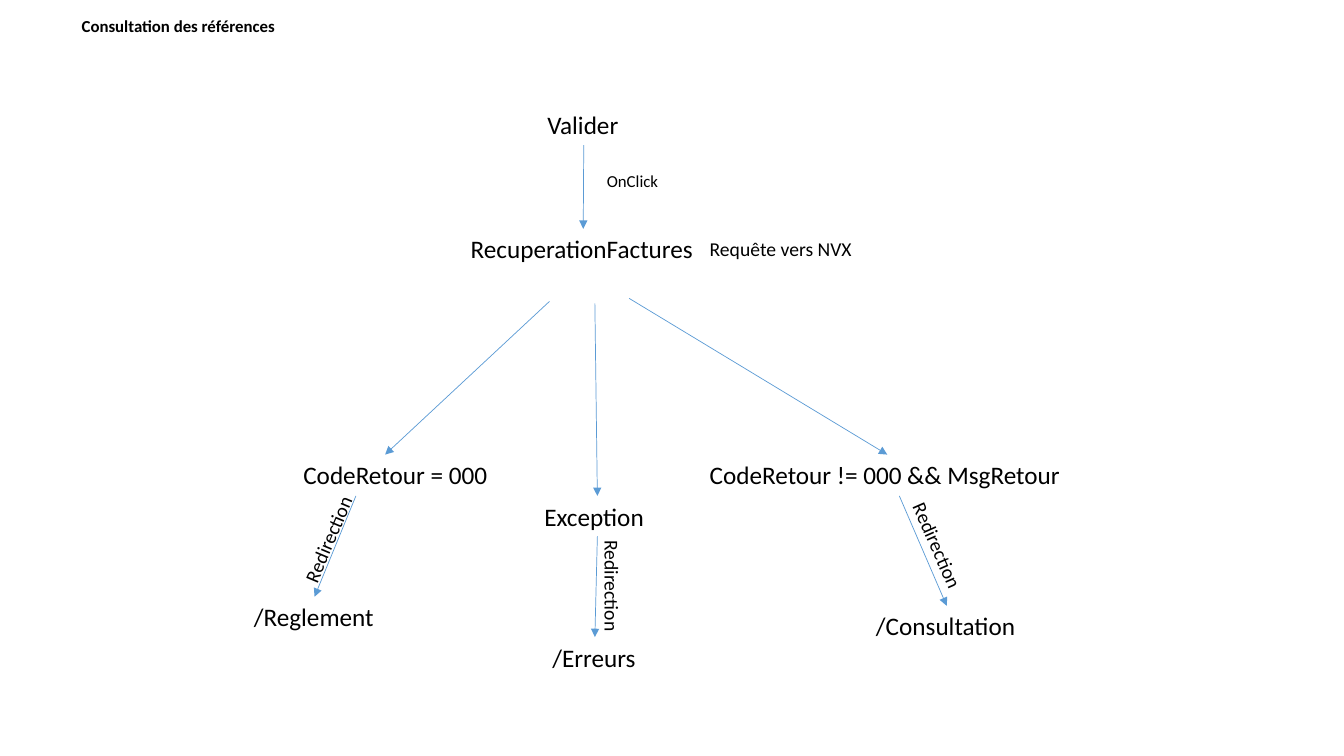
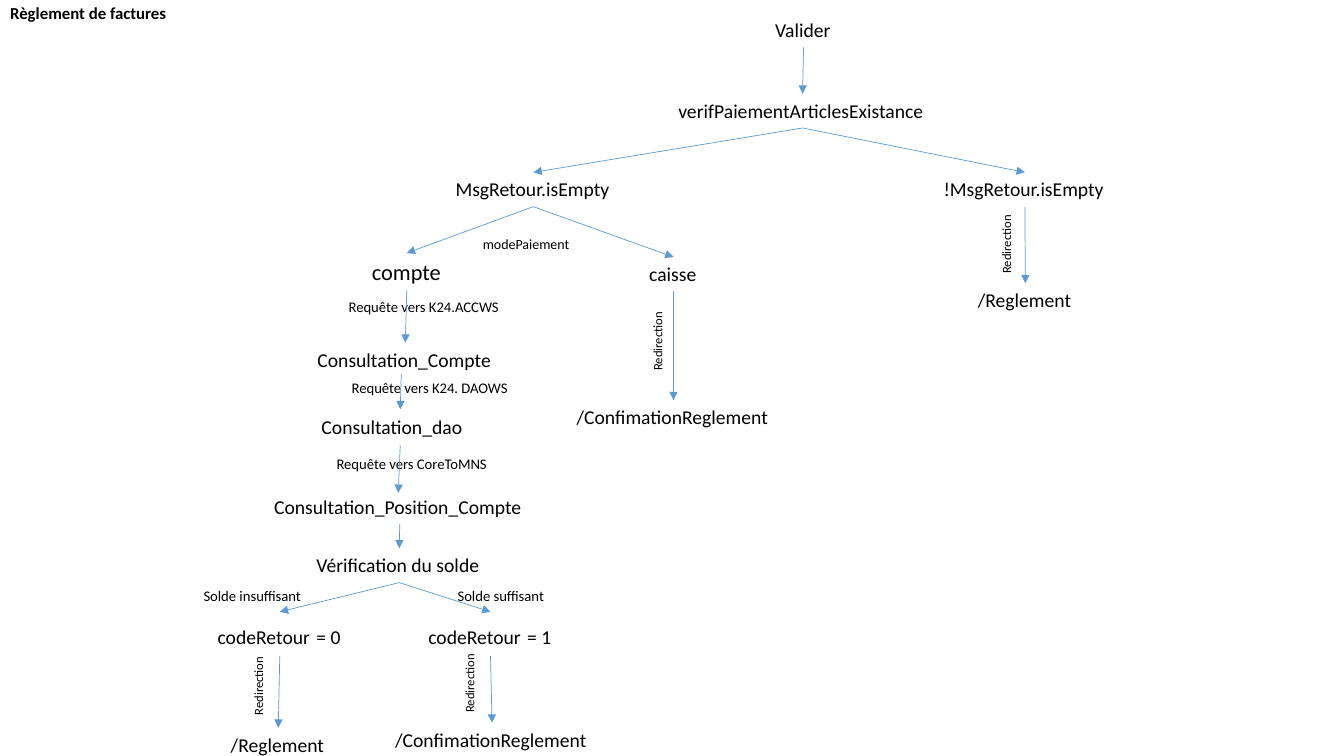
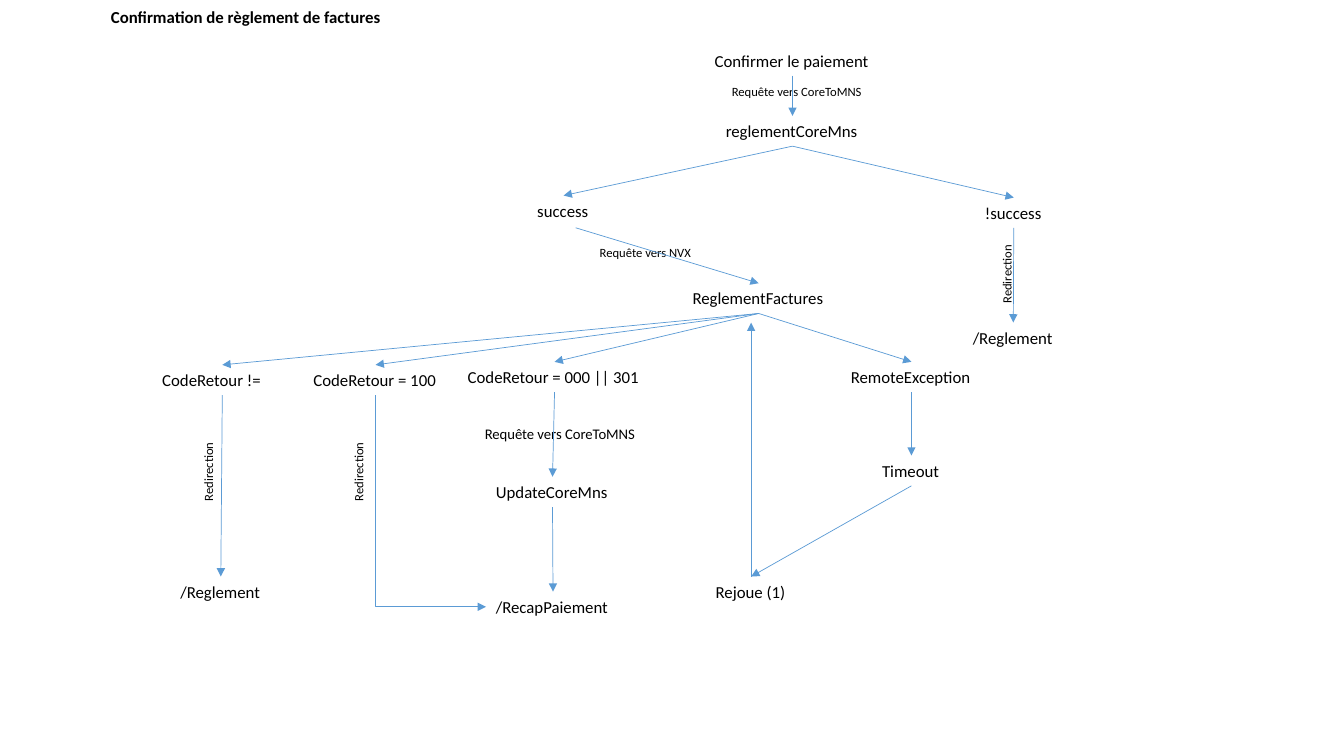
from functools import partial

from lxml import etree
from pptx import Presentation
from pptx import util as u
from pptx.dml.color import RGBColor
from pptx.enum import shapes, text
from pptx.oxml.ns import qn

FONT = "Calibri"
BLACK = RGBColor(0x00, 0x00, 0x00)
BLUE = RGBColor(0x5B, 0x9B, 0xD5)
LINE_HEIGHT = {18: 0.4, 16: 0.37, 14: 0.34, 12: 0.3, 10.5: 0.28, 10: 0.27, 9: 0.25}
TOP, LEFT, BOTTOM = 0, 1, 2


def style(run, size, bold=False):
    run.font.name = FONT
    run.font.size = u.Pt(size)
    run.font.bold = bold
    run.font.color.rgb = BLACK


def add_page(deck, heading, left, top, width):
    slide = deck.slides.add_slide(deck.slide_layouts[5])
    title = slide.shapes.title
    title.left, title.top = u.Inches(left), u.Inches(top)
    title.width, title.height = u.Inches(width), u.Inches(LINE_HEIGHT[12])
    frame = title.text_frame
    frame.text = heading
    frame.word_wrap = True
    frame.auto_size = text.MSO_AUTO_SIZE.NONE
    frame.vertical_anchor = text.MSO_ANCHOR.TOP
    frame.paragraphs[0].alignment = text.PP_ALIGN.LEFT
    style(frame.paragraphs[0].runs[0], 12, bold=True)
    return slide


def add_label(slide, words, left, top, width, size=12, turn=0, wrap=False, height=None):
    label = slide.shapes.add_textbox(
        u.Inches(left), u.Inches(top), u.Inches(width),
        u.Inches(height or LINE_HEIGHT[size]))
    label.rotation = turn
    frame = label.text_frame
    frame.text = words
    frame.word_wrap = wrap
    frame.auto_size = text.MSO_AUTO_SIZE.SHAPE_TO_FIT_TEXT
    style(frame.paragraphs[0].runs[0], size)
    return label


def add_return_code(slide, value, left, top):
    code = add_label(slide, "codeRetour", left, top, 1.43, 14, height=0.44)
    for words, size in ((" ", 20), (f"= {value}", 14)):
        run = code.text_frame.paragraphs[0].add_run()
        run.text = words
        style(run, size)
    return code


def locate(end, side):
    if isinstance(end, tuple):
        return u.Inches(end[0]), u.Inches(end[1])
    if side == LEFT:
        return end.left, end.top + end.height // 2
    return end.left + end.width // 2, end.top + (end.height if side == BOTTOM else 0)


def add_arrow(slide, start, end, kind=shapes.MSO_CONNECTOR.STRAIGHT, end_side=TOP,
              start_side=BOTTOM):
    arrow = slide.shapes.add_connector(
        kind, *locate(start, start_side), *locate(end, end_side))
    if not isinstance(start, tuple):
        arrow.begin_connect(start, start_side)
    if not isinstance(end, tuple):
        arrow.end_connect(end, end_side)
    arrow.line.color.rgb = BLUE
    arrow.line.width = u.Pt(0.5)
    properties = arrow._element.spPr
    etree.SubElement(properties.find(qn("a:ln")), qn("a:tailEnd"), type="triangle")
    etree.SubElement(properties, qn("a:effectLst"))
    return arrow


def add_corner_arrow(slide, start, end):
    arrow = add_arrow(slide, start, end, shapes.MSO_CONNECTOR.ELBOW, LEFT)
    x1, y1 = locate(start, BOTTOM)
    x2, y2 = locate(end, LEFT)
    across, down = x2 - x1, y2 - y1
    arrow.left = (x1 + x2 - down) // 2
    arrow.top = (y1 + y2 - across) // 2
    arrow.width, arrow.height = down, across
    properties = arrow._element.spPr
    properties.find(qn("a:prstGeom")).set("prst", "bentConnector2")
    frame = properties.find(qn("a:xfrm"))
    frame.set("rot", "16200000")
    frame.set("flipH", "1")


def add_arrows(slide, *pairs):
    for start, end in pairs:
        add_arrow(slide, start, end)


def build_consultation(deck):
    slide = add_page(deck, "Consultation des références", 0.71, 0.11, 2.18)
    node = partial(add_label, slide, size=18)
    note = partial(add_label, slide, size=14)

    validate = node("Valider", 5.33, 1.04, 0.92)
    fetch = node("RecuperationFactures", 4.57, 2.27, 2.43)
    node("CodeRetour = 000", 2.91, 4.51, 2.05)
    failure = node("CodeRetour != 000 && MsgRetour", 6.94, 4.51, 3.72)
    exception = node("Exception", 5.3, 4.92, 1.25, wrap=True)
    payment = node("/Reglement", 2.42, 5.92, 1.4)
    consultation = node("/Consultation", 8.59, 6.01, 1.6)
    errors = node("/Erreurs", 5.38, 6.32, 1.04)

    add_label(slide, "OnClick", 5.92, 1.64, 0.72)
    note("Requête vers NVX", 6.94, 2.3, 1.65)
    for left, top, turn in ((2.7, 5.17, 292.9), (8.74, 5.25, 66.4), (5.51, 5.65, 90)):
        note("Redirection", left, top, 1.12, turn=turn)

    add_arrows(
        slide,
        (validate, fetch),
        ((5.45, 2.99), (3.82, 4.51)),
        ((5.9, 3.01), exception),
        ((6.24, 2.96), failure),
        ((3.53, 4.92), payment),
        ((8.92, 4.92), consultation),
        (exception, errors))


def build_payment(deck):
    slide = add_page(deck, "Règlement de factures", 0, -0.02, 1.84)
    node = partial(add_label, slide, size=14)
    note = partial(add_label, slide, size=10.5)

    validate = node("Valider", 7.59, 0.13, 0.76)
    check = node("verifPaiementArticlesExistance", 6.63, 0.93, 2.66)
    empty = node("MsgRetour.isEmpty", 4.42, 1.71, 1.74)
    not_empty = node("!MsgRetour.isEmpty", 9.26, 1.71, 1.81)
    account = node("compte", 3.59, 2.51, 0.89, size=16)
    cash = node("caisse", 6.34, 2.55, 0.68)
    account_query = node("Consultation_Compte", 3.05, 3.4, 1.94)
    node("Consultation_dao", 3.09, 4.07, 1.62)
    position_query = node("Consultation_Position_Compte", 2.62, 4.86, 2.69)
    balance = node("Vérification du solde", 3.04, 5.44, 1.84)
    too_low = add_return_code(slide, 0, 2.06, 6.07)
    sufficient = add_return_code(slide, 1, 4.15, 6.07)
    low_payment = node("/Reglement", 2.19, 7.22, 1.14)
    message_payment = node("/Reglement", 9.6, 2.81, 1.14)
    account_confirmed = node("/ConfimationReglement", 3.82, 7.17, 2.12)
    cash_confirmed = node("/ConfimationReglement", 5.62, 3.97, 2.12)

    note("modePaiement", 4.69, 2.29, 1.11, size=10)
    note("Requête vers K24.ACCWS", 3.36, 2.91, 1.73, wrap=True)
    note("Requête vers K24. DAOWS", 3.39, 3.71, 2.13, wrap=True)
    note("Requête vers CoreToMNS", 3.24, 4.46, 1.74)
    note("Solde insuffisant", 1.92, 5.77, 1.19)
    note("Solde suffisant", 4.44, 5.77, 1.08)
    for left, top, width in ((2.14, 6.65, 0.84), (4.25, 6.64, 0.81),
                             (6.04, 3.17, 0.96), (9.57, 2.28, 0.82)):
        note("Redirection", left, top, width, size=9, turn=270, wrap=True)

    add_arrows(
        slide,
        (validate, check),
        (check, empty),
        (check, not_empty),
        (empty, account),
        (empty, cash),
        (not_empty, message_payment),
        (cash, cash_confirmed),
        (account, account_query),
        ((3.98, 3.71), (3.97, 4.06)),
        ((3.97, 4.42), (3.95, 4.89)),
        (position_query, balance),
        (balance, too_low),
        (balance, sufficient),
        (too_low, low_payment),
        (sufficient, account_confirmed))


def build_confirmation(deck):
    slide = add_page(deck, "Confirmation de règlement de factures", 1, 0.02, 2.95)
    node = partial(add_label, slide)
    note = partial(add_label, slide, size=9)

    confirm = node("Confirmer le paiement", 6.99, 0.45, 1.74)
    core_payment = node("reglementCoreMns", 7.1, 1.15, 1.52)
    success = node("success", 5.23, 1.94, 0.72)
    failure = node("!success", 9.67, 1.96, 0.77)
    invoices = node("ReglementFactures", 6.77, 2.81, 1.51)
    other_code = node("CodeRetour !=", 1.51, 3.62, 1.39, wrap=True)
    code_100 = node("CodeRetour = 100", 3.01, 3.62, 1.43)
    code_000 = node("CodeRetour = 000 || 301", 4.54, 3.59, 1.92)
    remote = node("RemoteException", 8.34, 3.59, 1.4)
    timeout = node("Timeout", 8.65, 4.52, 0.78)
    update = node("UpdateCoreMns", 4.82, 4.73, 1.32)
    replay = node("Rejoue (1)", 7, 5.72, 0.9)
    recap = node("/RecapPaiement", 4.82, 5.87, 1.33)
    code_payment = node("/Reglement", 1.69, 5.72, 1, wrap=True)
    failure_payment = node("/Reglement", 9.55, 3.2, 1)

    note("Requête vers CoreToMNS", 7.16, 0.78, 1.52)
    note("Requête vers NVX", 5.85, 2.38, 1.14)
    note("Requête vers CoreToMNS", 4.71, 4.17, 1.74, size=10.5)
    for left, top in ((1.67, 4.55), (3.16, 4.55), (9.59, 2.59)):
        note("Redirection", left, top, 0.79, turn=270)

    add_arrows(
        slide,
        (confirm, core_payment),
        (core_payment, success),
        (core_payment, failure),
        ((5.71, 2.26), invoices),
        (failure, failure_payment),
        *((invoices, outcome) for outcome in (other_code, code_100, code_000, remote)),
        (other_code, code_payment),
        (code_000, update),
        (update, recap),
        (remote, timeout),
        (timeout, replay))
    add_arrow(slide, replay, (7.45, 3.2), start_side=TOP)
    add_corner_arrow(slide, code_100, recap)


def main():
    deck = Presentation()
    deck.slide_width, deck.slide_height = u.Inches(13.33), u.Inches(7.5)
    build_consultation(deck)
    build_payment(deck)
    build_confirmation(deck)
    deck.save("out.pptx")


if __name__ == "__main__":
    main()
